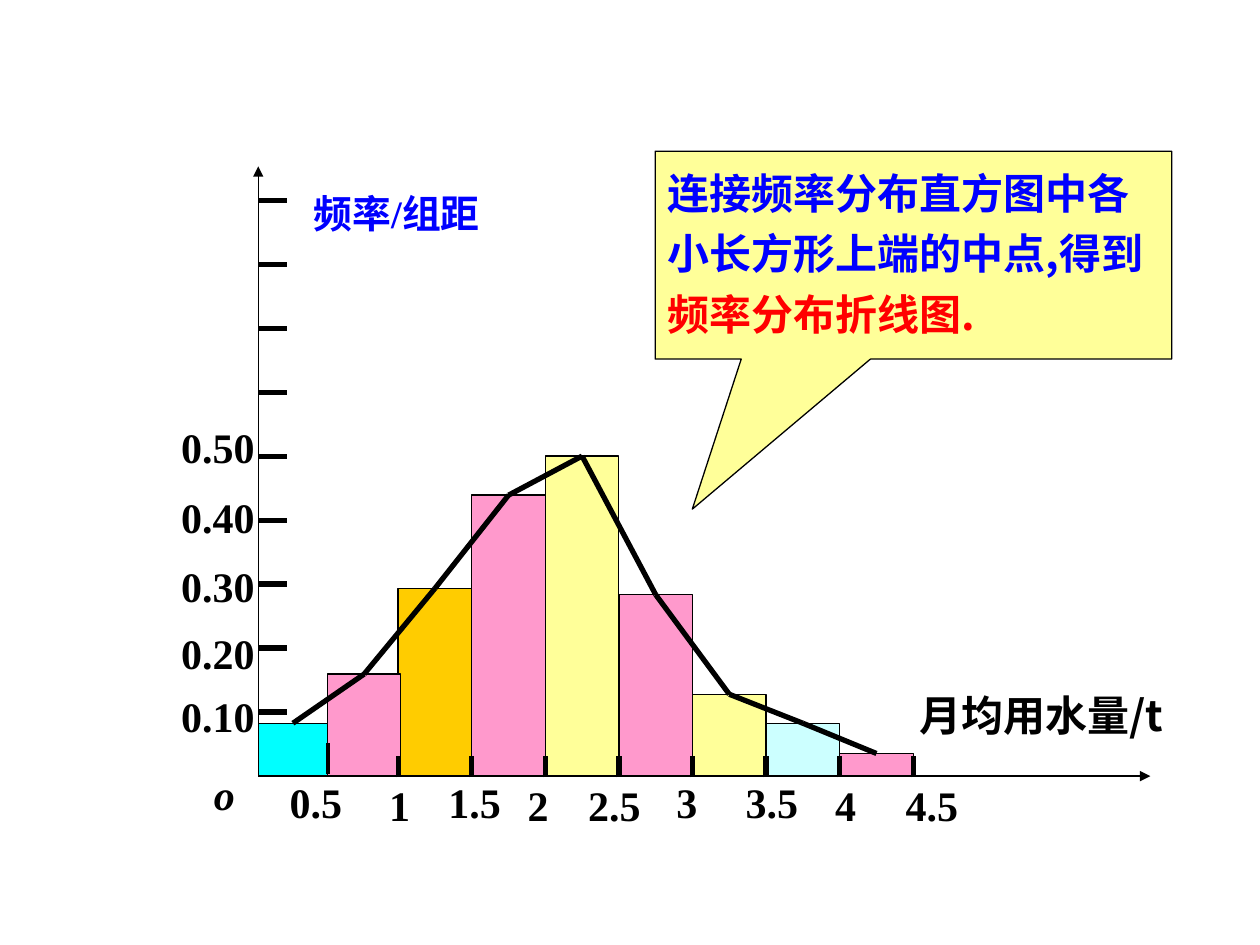
import pptx
import pptx.util
import pptx.dml.color
import pptx.enum.shapes
import pptx.enum.text
import pptx.oxml
import pptx.oxml.ns

Inch, Pt = pptx.util.Inches, pptx.util.Pt
Shape = pptx.enum.shapes.MSO_SHAPE
qn = pptx.oxml.ns.qn
hues = {"black": "000000", "blue": "0000FF", "red": "FF0000", "cyan": "00FFFF",
        "pink": "FF99CC", "gold": "FFCC00", "cream": "FFFF99", "ice": "CCFFFF"}
rgb = {k: pptx.dml.color.RGBColor.from_string(v) for k, v in hues.items()}
roman, hans = "Times New Roman", "Noto Sans CJK SC"

deck = pptx.Presentation()
deck.slide_width, deck.slide_height = Inch(10), Inch(7.5)
slide = deck.slides.add_slide(deck.slide_layouts[6])
parts = slide.shapes


def line(x1, y1, x2, y2, width, arrow=False):
    link = parts.add_connector(pptx.enum.shapes.MSO_CONNECTOR.STRAIGHT,
                               Inch(x1), Inch(y1), Inch(x2), Inch(y2))
    link.line.color.rgb = rgb["black"]
    link.line.width = Pt(width)
    if arrow:
        link.line._get_or_add_ln().append(pptx.oxml.parse_xml(
            '<a:tailEnd type="triangle" xmlns:a='
            '"http://schemas.openxmlformats.org/drawingml/2006/main"/>'))
    props = link._element.spPr
    props.append(props.makeelement(qn("a:effectLst"), {}))
    return link


def write(frame, bits, face, size=24, slant=False):
    frame.word_wrap = True
    para = frame.paragraphs[0]
    for words, hue in bits:
        run = para.add_run()
        run.text = words
        font = run.font
        font.size, font.bold, font.italic = Pt(size), True, slant
        font.color.rgb = rgb[hue]
        font.name = face
        props = run._r.get_or_add_rPr()
        props.append(props.makeelement(qn("a:ea"), {"typeface": hans}))
    return para


# Grid: the origin, the bar edges and the step of the upright scale
left, base = 2.05, 6.16
col, row = 0.584, 0.507
edges = [left, 2.6] + [3.16 + col * i for i in range(8)]

# Bars, from right to left so that the left ones lie in front
tops = [5.74, 5.35, 4.67, 3.93, 3.62, 4.72, 5.51, 5.74, 5.98]
fills = ["cyan", "pink", "gold", "pink", "cream", "pink", "cream", "ice", "pink"]
bars = [None] * len(tops)
for i in reversed(range(len(tops))):
    wide = 0.58 if i == 1 else edges[i + 1] - edges[i]
    bar = parts.add_shape(Shape.RECTANGLE, Inch(edges[i]), Inch(tops[i]),
                          Inch(wide), Inch(base - tops[i]))
    bar.shadow.inherit = False
    bar.fill.solid()
    bar.fill.fore_color.rgb = rgb[fills[i]]
    bar.line.color.rgb = rgb["black"]
    bar.line.width = Pt(0.75)
    bars[i] = bar

# Axes with their ticks
line(left, base, 9.13, base, 0.75, arrow=True)
line(left, 6.14, left, 1.32, 0.75, arrow=True)
line(edges[1], 6.14, edges[1], 5.9, 2.25)
for x in edges[2:]:
    line(x, 6.17, x, 6, 3)
for i in range(9):
    y = 5.65 - row * i
    line(left, y, 2.28, y, 3)

# Scale labels
labels = [(f"0.{i + 1}0", 1.34, y) for i, y in enumerate([5.43, 4.93, 4.4, 3.85, 3.3])]
spots = [(2.2, 6.11), (2.99, 6.14), (3.46, 6.11), (4.09, 6.14), (4.57, 6.14),
         (5.27, 6.11), (5.82, 6.11), (6.53, 6.14), (7.09, 6.14)]
labels += [(f"{(i + 1) / 2:g}", x, y) for i, (x, y) in enumerate(spots)]
labels.append(("o", 1.6, 6.05))
for words, x, y in labels:
    box = parts.add_textbox(Inch(x), Inch(y), Inch(0.8), Inch(0.5))
    write(box.text_frame, [(words, "black")], roman, slant=words == "o")

# Axis titles
box = parts.add_textbox(Inch(7.2), Inch(5.42), Inch(2.48), Inch(0.5))
write(box.text_frame, [("月均用水量/t", "black")], hans)
box = parts.add_textbox(Inch(2.39), Inch(1.5), Inch(2.29), Inch(0.47))
para = write(box.text_frame, [("频率/组距", "blue")], roman, 22.2)
para.alignment = pptx.enum.text.PP_ALIGN.JUSTIFY
para.line_spacing = 0.9

# Frequency polygon through the middles of the bar tops
for one, two in zip(bars, bars[1:]):
    link = line(0, 0, 1, 1, 3)
    link.begin_connect(one, 0)
    link.end_connect(two, 0)

# Callout
note = parts.add_shape(Shape.RECTANGULAR_CALLOUT, Inch(5.2), Inch(1.2),
                       Inch(4.1), Inch(1.65))
note.adjustments[0], note.adjustments[1] = -0.428, 1.222
note.shadow.inherit = False
note.fill.solid()
note.fill.fore_color.rgb = rgb["cream"]
note.line.color.rgb = rgb["black"]
note.line.width = Pt(0.75)
note.text_frame.vertical_anchor = pptx.enum.text.MSO_ANCHOR.TOP
para = write(note.text_frame,
             [("连接频率分布直方图中各小长方形上端的中点,得到", "blue"),
              ("频率分布折线图.", "red")], hans)
para.alignment = pptx.enum.text.PP_ALIGN.LEFT
para.line_spacing = 1.2

deck.save("out.pptx")
